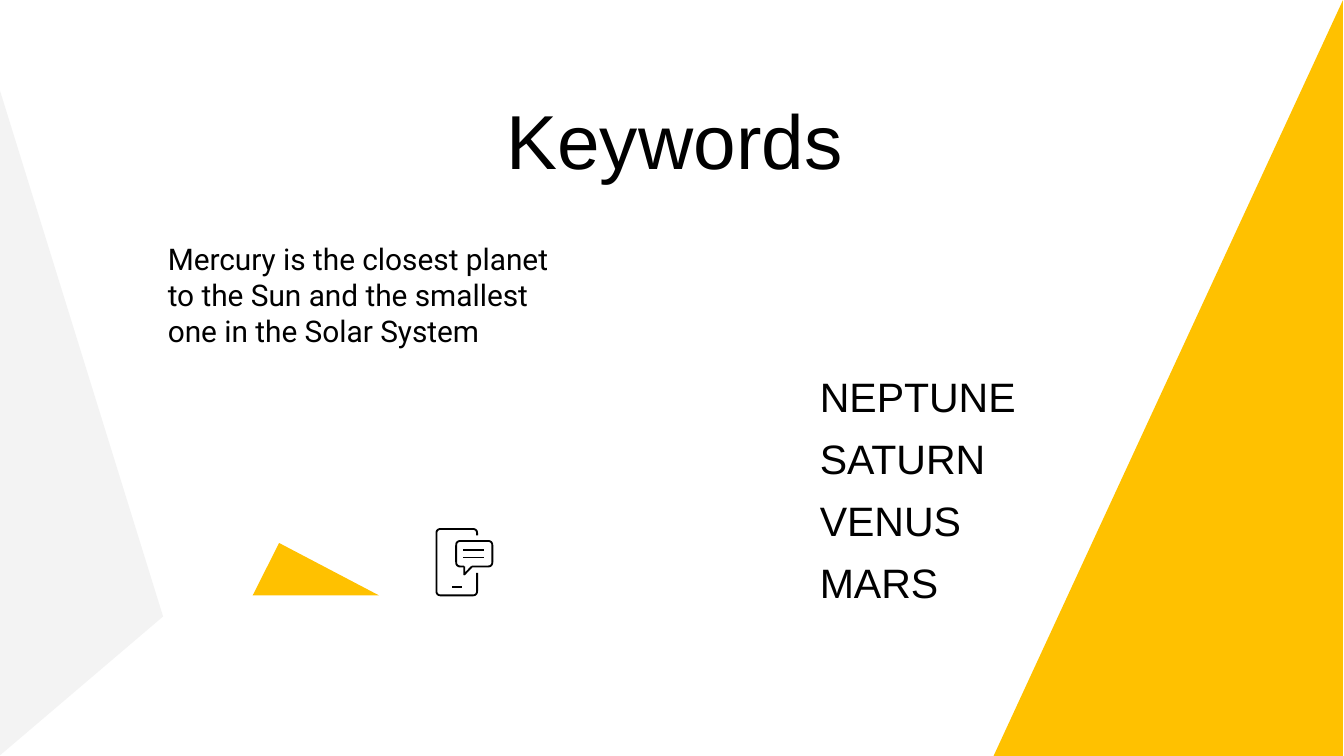
from pptx import Presentation
from pptx.dml.color import RGBColor
from pptx.enum.shapes import MSO_CONNECTOR, MSO_SHAPE as Shape
from pptx.enum.text import MSO_ANCHOR as Anchor, MSO_AUTO_SIZE, PP_ALIGN as Align
from pptx.oxml.ns import qn
from pptx.util import Pt
from lxml.etree import SubElement

COLORS = {"yellow": "FFC100", "grey": "F3F3F3", "black": "000000"}

TITLE = "Keywords"
INTRO = "Mercury is the closest planet to the Sun and the smallest one in the Solar System"
PLANETS = ["NEPTUNE", "SATURN", "VENUS", "MARS"]

TITLE_BOX = (64.8, 38.9, 593.3, 45.4)
INTRO_BOX = (82.8, 121.7, 234, 76.3)
PLANET_LEFT, PLANET_TOP, PLANET_STEP = 432, 200.2, 33.1
PLANET_SIZE = (141.8, 24.5)

# preset, box, rotation, mirrored, apex position, colour
TRIANGLES = [
    (Shape.RIGHT_TRIANGLE, (423.4, 108.9, 405, 187.2), 270, False, None, "yellow"),
    (Shape.ISOSCELES_TRIANGLE, (-135.4, 182.2, 357.8, 87.8), 90, True, 0.209, "grey"),
    (Shape.ISOSCELES_TRIANGLE, (135.4, 290.9, 67.7, 28.1), 0, True, 0.791, "yellow"),
]

# corner radius, points
ICON_OUTLINES = [
    (2.4, [(255.6, 286.9), (255.6, 283.4), (233.8, 283.4),
           (233.8, 319), (255.6, 319), (255.6, 307)]),
    (2.4, [(252.8, 303.5), (263.8, 303.5), (263.8, 289.8),
           (244.4, 289.8), (244.4, 303.5), (248.7, 303.5)]),
    (0, [(252.8, 303.5), (248.7, 307.8), (248.7, 303.5)]),
]
# left, right, height on the slide
ICON_STROKES = [(248.2, 259.4, 294.7), (248.2, 259.4, 298.7), (242.4, 247.3, 314.3)]
STROKE = 1


def rgb(name):
    return RGBColor.from_string(COLORS[name])


def place(sp, box):
    for name, value in zip(("left", "top", "width", "height"), box):
        setattr(sp, name, Pt(value))


def write(sp, box, text, font, size, anchor=Anchor.TOP, align=Align.LEFT, inset_top=7.2):
    place(sp, box)
    tf = sp.text_frame
    frame = {"word_wrap": True, "auto_size": MSO_AUTO_SIZE.NONE, "vertical_anchor": anchor,
             "margin_left": Pt(7.2), "margin_right": Pt(7.2),
             "margin_top": Pt(inset_top), "margin_bottom": Pt(7.2)}
    for name, value in frame.items():
        setattr(tf, name, value)
    p = tf.paragraphs[0]
    p.alignment, p.space_before = align, Pt(0)
    pPr = p._p.get_or_add_pPr()
    pPr.set("marL", "0")
    pPr.set("indent", "0")
    SubElement(pPr, qn("a:buNone"))
    r = p.add_run()
    r.text = text
    for name, value in {"name": font, "size": Pt(size), "bold": False}.items():
        setattr(r.font, name, value)
    r.font.color.rgb = rgb("black")


def add_triangle(shapes, preset, box, rotation, mirrored, apex, color):
    sp = shapes.add_shape(preset, *map(Pt, box))
    sp.rotation = rotation
    sp.shadow.inherit = False
    sp.fill.solid()
    sp.fill.fore_color.rgb = rgb(color)
    sp.line.fill.background()
    if apex is not None:
        sp.adjustments[0] = apex
    if mirrored:
        sp._element.spPr.xfrm.set("flipH", "1")


def rounded(points, radius, steps=6):
    """Replace each inner corner by a short quadratic curve."""
    if not radius:
        return points
    result = [points[0]]
    for before, corner, after in zip(points, points[1:], points[2:]):
        ends = []
        for x, y in (before, after):
            dx, dy = x - corner[0], y - corner[1]
            length = (dx * dx + dy * dy) ** 0.5
            share = min(radius / length, 1)
            ends.append((corner[0] + dx * share, corner[1] + dy * share))
        for i in range(steps + 1):
            t = i / steps
            result.append(tuple((1 - t) ** 2 * a + 2 * t * (1 - t) * c + t * t * b
                                for a, c, b in zip(ends[0], corner, ends[1])))
    return result + [points[-1]]


def style_line(sp):
    sp.line.color.rgb = rgb("black")
    sp.line.width = Pt(STROKE)


def add_phone_icon(shapes):
    group = shapes.add_group_shape().shapes
    for radius, points in ICON_OUTLINES:
        start, *rest = [(Pt(x), Pt(y)) for x, y in rounded(points, radius)]
        builder = group.build_freeform(*start)
        builder.add_line_segments(rest, close=False)
        sp = builder.convert_to_shape()
        sp.shadow.inherit = False
        sp.fill.background()
        style_line(sp)
    for left, right, y in ICON_STROKES:
        line = group.add_connector(MSO_CONNECTOR.STRAIGHT, Pt(left), Pt(y), Pt(right), Pt(y))
        style_line(line)
        SubElement(line._element.spPr, qn("a:effectLst"))


def main():
    prs = Presentation()
    prs.slide_width, prs.slide_height = Pt(720), Pt(405)
    s = prs.slides.add_slide(prs.slide_layouts.get_by_name("Comparison"))
    title, *bodies = s.placeholders

    for triangle in TRIANGLES:
        add_triangle(s.shapes, *triangle)
    add_phone_icon(s.shapes)

    write(title, TITLE_BOX, TITLE, "Arial", 41, align=Align.CENTER, inset_top=10.8)
    intro = s.shapes.add_textbox(*map(Pt, INTRO_BOX))
    write(intro, INTRO_BOX, INTRO, "Roboto", 16)
    for i, (body, planet) in enumerate(zip(bodies, PLANETS)):
        box = (PLANET_LEFT, PLANET_TOP + i * PLANET_STEP, *PLANET_SIZE)
        write(body, box, planet, "Arial", 22, anchor=Anchor.MIDDLE)

    prs.save("out.pptx")


if __name__ == "__main__":
    main()
